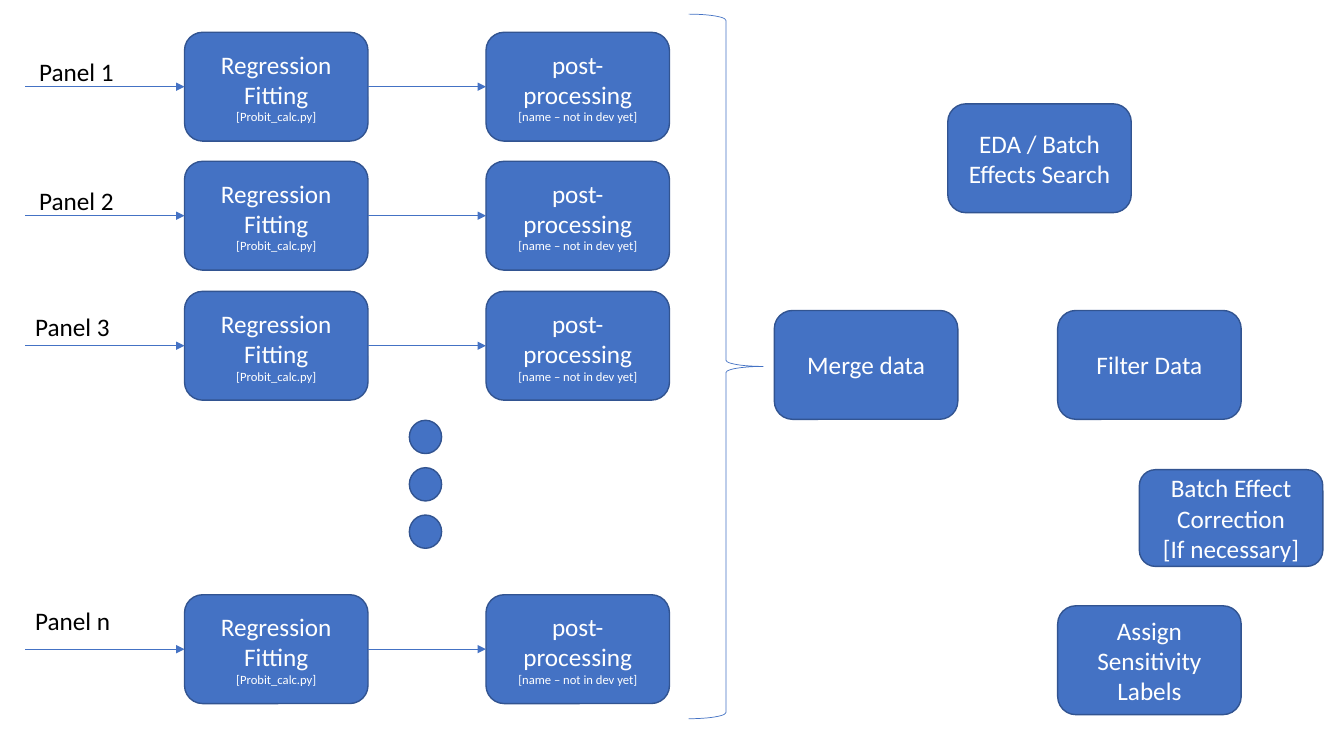
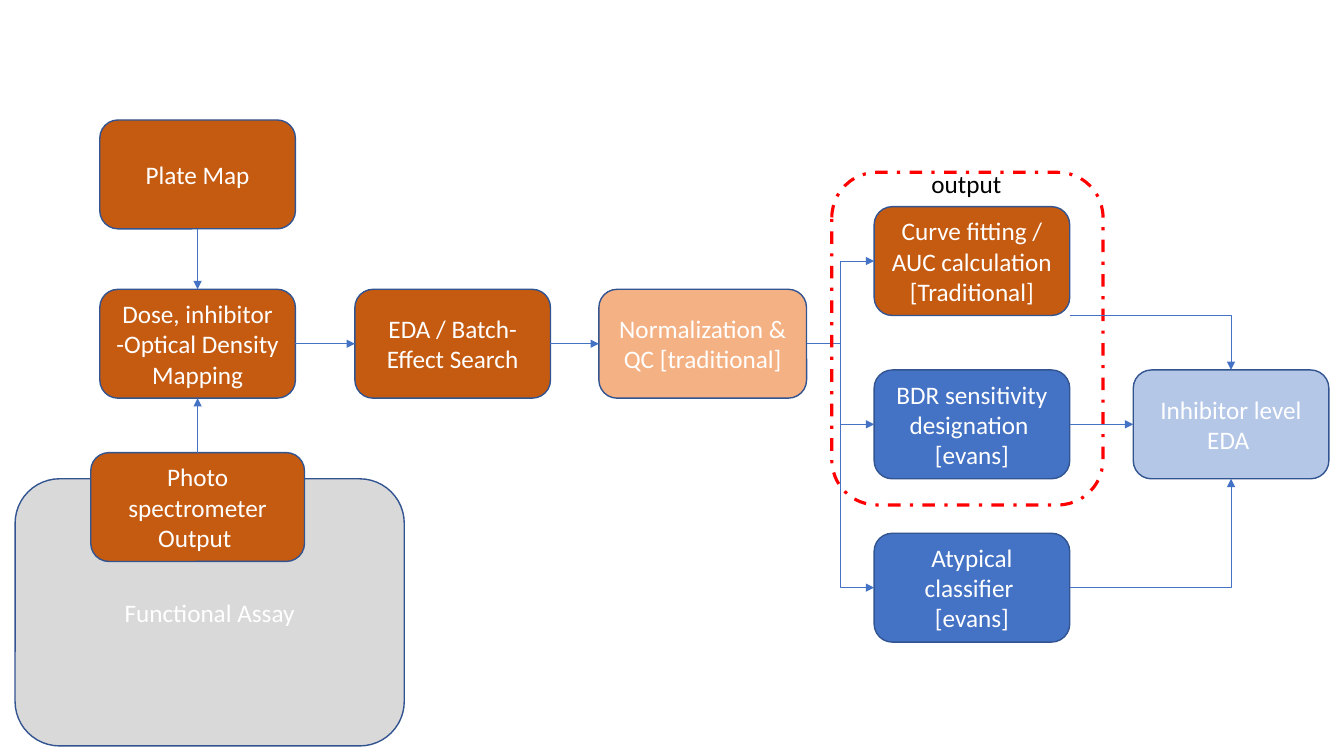
import pptx
import pptx.util
import pptx.dml.color
import pptx.enum.dml
import pptx.enum.shapes
import pptx.enum.text
import pptx.oxml
import pptx.oxml.ns

Inches = pptx.util.Inches
Pt = pptx.util.Pt
RGBColor = pptx.dml.color.RGBColor
SHAPE = pptx.enum.shapes.MSO_SHAPE
CONNECTOR = pptx.enum.shapes.MSO_CONNECTOR
ALIGN = pptx.enum.text.PP_ALIGN
ANCHOR = pptx.enum.text.MSO_ANCHOR

BLUE = RGBColor(0x44, 0x72, 0xC4)
OUTLINE = RGBColor(0x32, 0x54, 0x91)
PALE_BLUE = RGBColor(0xB4, 0xC7, 0xE7)
ORANGE = RGBColor(0xC5, 0x5A, 0x11)
PALE_ORANGE = RGBColor(0xF4, 0xB1, 0x83)
GREY = RGBColor(0xD9, 0xD9, 0xD9)
RED = RGBColor(0xFF, 0x00, 0x00)
WHITE = RGBColor(0xFF, 0xFF, 0xFF)
BLACK = RGBColor(0x00, 0x00, 0x00)

BODY_FONT = {"name": "Calibri", "size": Pt(18)}
NOTE_SIZE = Pt(9)
STEP_HEIGHT = 1.08
TOP, LEFT, BOTTOM, RIGHT = range(4)  # connection sites of a step


# Shared building blocks
def style_font(font, color, **changes):
    for attribute, value in {**BODY_FONT, **changes}.items():
        setattr(font, attribute, value)
    font.color.rgb = color


def add_outline(slide, kind, box, fill=None, line=OUTLINE, width=1):
    """Add a preset shape; without a fill only its line is drawn."""
    shape = slide.shapes.add_shape(kind, *map(Inches, box))
    shape.shadow.inherit = False
    if fill is None:
        shape.fill.background()
    else:
        shape.fill.solid()
        shape.fill.fore_color.rgb = fill
    shape.line.color.rgb = line
    shape.line.width = Pt(width)
    return shape


def add_step(slide, box, lines, fill=BLUE, note=None):
    """Add a rounded step; the note is a last line in small type."""
    step = add_outline(slide, SHAPE.ROUNDED_RECTANGLE, box, fill)
    frame = step.text_frame
    frame.word_wrap = True
    frame.vertical_anchor = ANCHOR.MIDDLE
    texts = [(line, BODY_FONT["size"]) for line in lines]
    if note:
        texts.append((note, NOTE_SIZE))
    for index, (text, size) in enumerate(texts):
        paragraph = frame.paragraphs[0] if index == 0 else frame.add_paragraph()
        paragraph.alignment = ALIGN.CENTER
        run = paragraph.add_run()
        run.text = text
        style_font(run.font, WHITE, size=size)
    return step


def add_label(slide, box, text):
    frame = slide.shapes.add_textbox(*map(Inches, box)).text_frame
    frame.word_wrap = False
    run = frame.paragraphs[0].add_run()
    run.text = text
    style_font(run.font, BLACK)


def add_arrow(slide, start, end, kind=CONNECTOR.STRAIGHT, one_bend=False):
    """Join two ends, each an (x, y) point or a (step, site) pair."""
    points = [(0, 0) if hasattr(a, "shape_type") else (a, b)
              for a, b in (start, end)]
    arrow = slide.shapes.add_connector(
        kind, *(Inches(value) for point in points for value in point))
    for connect, (target, site) in ((arrow.begin_connect, start),
                                    (arrow.end_connect, end)):
        if hasattr(target, "shape_type"):
            connect(target, site)
    arrow.line.color.rgb = BLUE
    arrow.line.width = Pt(0.5)
    properties = arrow._element.spPr
    if one_bend:
        properties.find(pptx.oxml.ns.qn("a:prstGeom")).set("prst", "bentConnector2")
    namespace = pptx.oxml.ns.nsdecls("a")
    arrow.line._get_or_add_ln().append(
        pptx.oxml.parse_xml(f'<a:tailEnd {namespace} type="triangle"/>'))
    properties.append(pptx.oxml.parse_xml(f"<a:effectLst {namespace}/>"))


# Slide 1: panels processed side by side, then merged
def add_panel_row(slide, left, top, name, label_offset):
    width = 1.82
    label_x, label_y = label_offset
    fitting = add_step(slide, (left + 1.58, top, width, STEP_HEIGHT),
                       ["Regression Fitting"], note="[Probit_calc.py]")
    processing = add_step(slide, (left + 4.57, top, width, STEP_HEIGHT),
                          ["post-processing"], note="[name – not in dev yet]")
    add_arrow(slide, (left, top + STEP_HEIGHT / 2), (fitting, LEFT))
    add_arrow(slide, (fitting, RIGHT), (processing, LEFT))
    add_label(slide, (left + label_x, top + label_y, 0.95, 0.4), name)


def add_continuation_dots(slide, left, top):
    for index in range(3):
        add_outline(slide, SHAPE.OVAL,
                    (left, top + index * 0.47, 0.32, 0.33), BLUE)


def add_merged_steps(slide, left, top):
    add_outline(slide, SHAPE.RIGHT_BRACE, (left, top, 0.74, 6.99),
                line=BLUE, width=0.5)
    for x, y, height, lines in (
            (0.85, 2.94, STEP_HEIGHT, ["Merge data"]),
            (3.66, 2.94, STEP_HEIGHT, ["Filter Data"]),
            (2.57, 0.89, STEP_HEIGHT, ["EDA / Batch Effects Search"]),
            (4.47, 4.52, 0.96, ["Batch Effect Correction", "[If necessary]"]),
            (3.66, 5.87, STEP_HEIGHT, ["Assign Sensitivity Labels"])):
        add_step(slide, (left + x, top + y, 1.82, height), lines)


def build_panel_slide(slide):
    for top, name, label_offset in ((0.32, "Panel 1", (0.04, 0.19)),
                                    (1.6, "Panel 2", (0.04, 0.19)),
                                    (2.89, "Panel 3", (0, 0.15)),
                                    (5.9, "Panel n", (0, 0.06))):
        add_panel_row(slide, 0.25, top, name, label_offset)
    add_continuation_dots(slide, 4.06, 4.17)
    add_merged_steps(slide, 6.83, 0.14)


# Slide 2: from assay to inhibitor level analysis
def add_assay_inputs(slide, left, top):
    """Place the assay and its two inputs; return the mapping step."""
    add_step(slide, (left, top + 3.56, 3.86, 2.65), ["Functional Assay"], GREY)
    output = add_step(slide, (left + 0.75, top + 3.3, 2.12, STEP_HEIGHT),
                      ["Photo spectrometer", "Output "], ORANGE)
    mapping = add_step(slide, (left + 0.84, top + 1.68, 1.94, STEP_HEIGHT),
                       ["Dose, inhibitor -Optical Density Mapping"], ORANGE)
    plate = add_step(slide, (left + 0.84, top, 1.94, STEP_HEIGHT),
                     ["Plate Map"], ORANGE)
    add_arrow(slide, (output, TOP), (mapping, BOTTOM))
    add_arrow(slide, (plate, BOTTOM), (mapping, TOP))
    return mapping


def add_quality_steps(slide, left, top, mapping):
    """Place search and normalization; return the latter."""
    search = add_step(slide, (left, top, 1.94, STEP_HEIGHT),
                      ["EDA / Batch-Effect Search"], ORANGE)
    normalization = add_step(slide, (left + 2.42, top, 2.06, STEP_HEIGHT),
                             ["Normalization & QC [traditional]"], PALE_ORANGE)
    add_arrow(slide, (mapping, RIGHT), (search, LEFT))
    add_arrow(slide, (search, RIGHT), (normalization, LEFT))
    return normalization


def add_analyses(slide, left, top, normalization):
    """Place the three analyses, the output frame and the final step."""
    width, pitch = 1.94, 1.62
    analyses = []
    for index, (lines, fill) in enumerate((
            (["Curve fitting / AUC calculation", "[Traditional]"], ORANGE),
            (["BDR sensitivity designation ", "[evans]"], BLUE),
            (["Atypical classifier ", "[evans]"], BLUE))):
        analysis = add_step(
            slide, (left, top + index * pitch, width, STEP_HEIGHT), lines, fill)
        add_arrow(slide, (normalization, RIGHT), (analysis, LEFT), CONNECTOR.ELBOW)
        analyses.append(analysis)
    frame = add_outline(slide, SHAPE.ROUNDED_RECTANGLE,
                        (left - 0.42, top - 0.34, 2.69, 3.3), line=RED, width=2.25)
    frame.line.dash_style = pptx.enum.dml.MSO_LINE.DASH_DOT
    add_label(slide, (left + 0.47, top - 0.43, 0.9, 0.4), "output")

    inhibitor = add_step(slide, (left + 2.57, top + pitch, width, STEP_HEIGHT),
                         ["Inhibitor level EDA "], PALE_BLUE)
    _, designation, classifier = analyses
    add_arrow(slide, (left + width, top + STEP_HEIGHT), (inhibitor, TOP),
              CONNECTOR.ELBOW, one_bend=True)
    add_arrow(slide, (designation, RIGHT), (inhibitor, LEFT))
    add_arrow(slide, (classifier, RIGHT), (inhibitor, BOTTOM),
              CONNECTOR.ELBOW, one_bend=True)


def build_assay_slide(slide):
    mapping = add_assay_inputs(slide, 0.15, 1.19)
    normalization = add_quality_steps(slide, 3.52, 2.87, mapping)
    add_analyses(slide, 8.67, 2.05, normalization)


def main():
    deck = pptx.Presentation()
    deck.slide_width = Inches(13.33)
    deck.slide_height = Inches(7.5)
    blank = deck.slide_layouts[6]
    for build in (build_panel_slide, build_assay_slide):
        build(deck.slides.add_slide(blank))
    deck.save("out.pptx")


if __name__ == "__main__":
    main()
